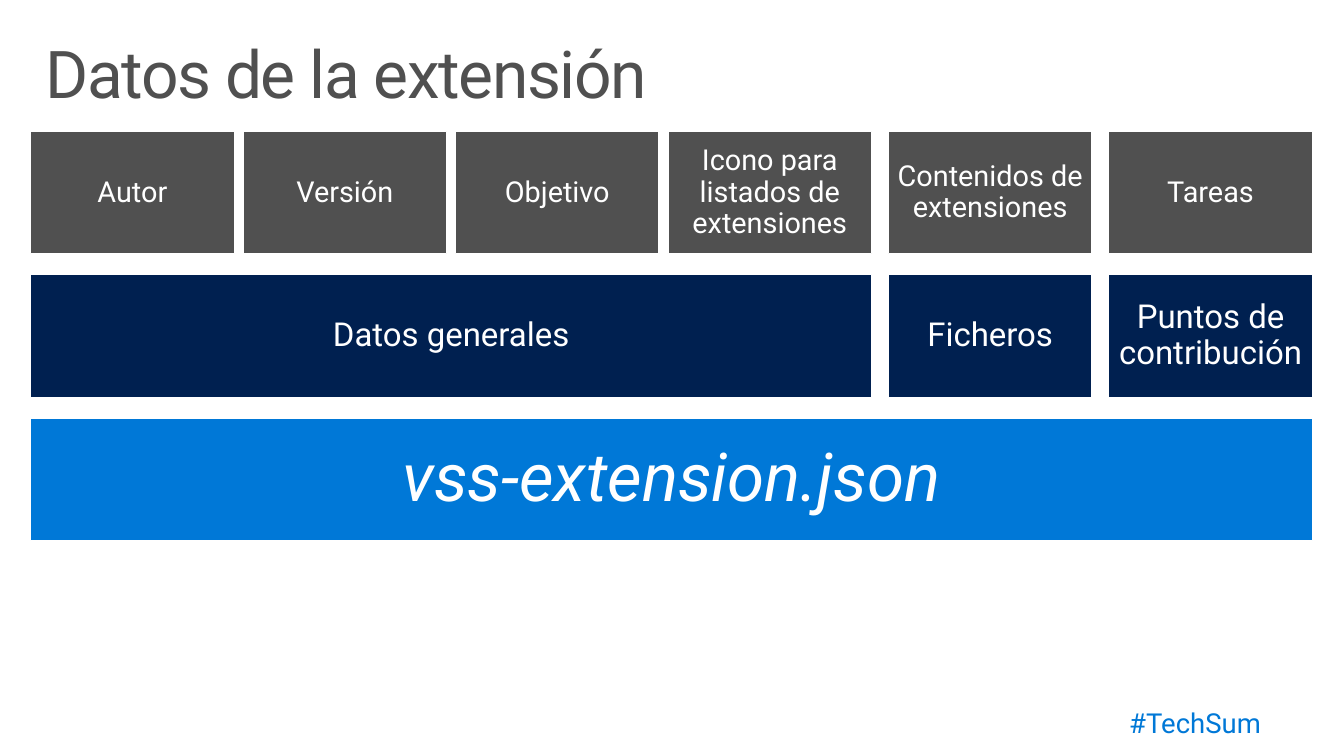
from dataclasses import dataclass

from pptx import Presentation
from pptx.dml.color import RGBColor
from pptx.enum.shapes import MSO_SHAPE
from pptx.enum.text import MSO_ANCHOR, MSO_AUTO_SIZE, PP_ALIGN
from pptx.util import Pt

RECT = MSO_SHAPE.RECTANGLE
TOP, MIDDLE = MSO_ANCHOR.TOP, MSO_ANCHOR.MIDDLE
LEFT, CENTER, RIGHT = PP_ALIGN.LEFT, PP_ALIGN.CENTER, PP_ALIGN.RIGHT
FIXED = MSO_AUTO_SIZE.NONE
SCALE = 9144


@dataclass(frozen=True)
class Theme:
    font: str = "Roboto"
    white: str = "FFFFFF"
    gray: str = "505050"
    navy: str = "002050"
    blue: str = "0078D7"
    title: int = 48
    base: int = 49
    group: int = 24
    item: int = 21
    tag: int = 20
    edge: float = 0.85


THEME = Theme()
GROUPS = [
    ("Datos generales",
     ["Autor", "Versión", "Objetivo", "Icono para listados de extensiones"]),
    ("Ficheros", ["Contenidos de extensiones"]),
    ("Puntos de contribución", ["Tareas"]),
]
START, CELL, HEIGHT = 31, 206, 124
INNER, OUTER = 9, 17
ITEM_TOP, GROUP_TOP, BASE_TOP = (133 + 145 * row for row in range(3))


def px(value):
    return value * SCALE


def color(value):
    return RGBColor.from_string(value)


def place(shape, left, top, width, height):
    shape.left, shape.top = px(left), px(top)
    shape.width, shape.height = px(width), px(height)


def write(shape, text, size, shade, align, anchor, side, cap):
    frame = shape.text_frame
    frame.text = text
    frame.word_wrap = True
    frame.auto_size = FIXED
    frame.vertical_anchor = anchor
    frame.margin_left = frame.margin_right = px(side)
    frame.margin_top = frame.margin_bottom = px(cap)
    line = frame.paragraphs[0]
    line.alignment = align
    line.line_spacing = 0.9
    font = line.runs[0].font
    font.name = THEME.font
    font.size = Pt(size)
    font.color.rgb = color(shade)
    return font


def add_title(slide, text):
    title = slide.shapes.title
    place(title, 30, 32, 1300, 100)
    font = write(title, text, THEME.title, THEME.gray, LEFT, TOP, 16, 10)
    font._element.set("spc", "-100")


def add_block(slide, text, left, top, width, fill, size, inset):
    block = slide.shapes.add_shape(
        RECT, px(left), px(top), px(width), px(HEIGHT))
    block.shadow.inherit = False
    block.fill.solid()
    block.fill.fore_color.rgb = color(fill)
    block.line.color.rgb = color(THEME.white)
    block.line.width = Pt(THEME.edge)
    return write(block, text, size, THEME.white, CENTER, MIDDLE, inset, inset)


def add_group(slide, name, items, left):
    width = len(items) * (CELL + INNER) - INNER
    add_block(slide, name, left, GROUP_TOP, width,
              THEME.navy, THEME.group, 10)
    for col, item in enumerate(items):
        add_block(slide, item, left + col * (CELL + INNER), ITEM_TOP, CELL,
                  THEME.gray, THEME.item, 9)
    return left + width


def add_tag(slide, text):
    box = slide.shapes.add_textbox(px(897), px(702), px(399), px(63))
    write(box, text, THEME.tag, THEME.blue, RIGHT, TOP, 20, 16)


def main():
    deck = Presentation()
    deck.slide_width, deck.slide_height = px(1360), px(765)
    slide = deck.slides.add_slide(deck.slide_layouts[5])
    add_title(slide, "Datos de la extensión")
    end = START - OUTER
    for name, items in GROUPS:
        end = add_group(slide, name, items, end + OUTER)
    base = add_block(slide, "vss-extension.json", START, BASE_TOP,
                     end - START, THEME.blue, THEME.base, 20)
    base.italic = True
    add_tag(slide, "#TechSum")
    deck.save("out.pptx")


if __name__ == "__main__":
    main()
